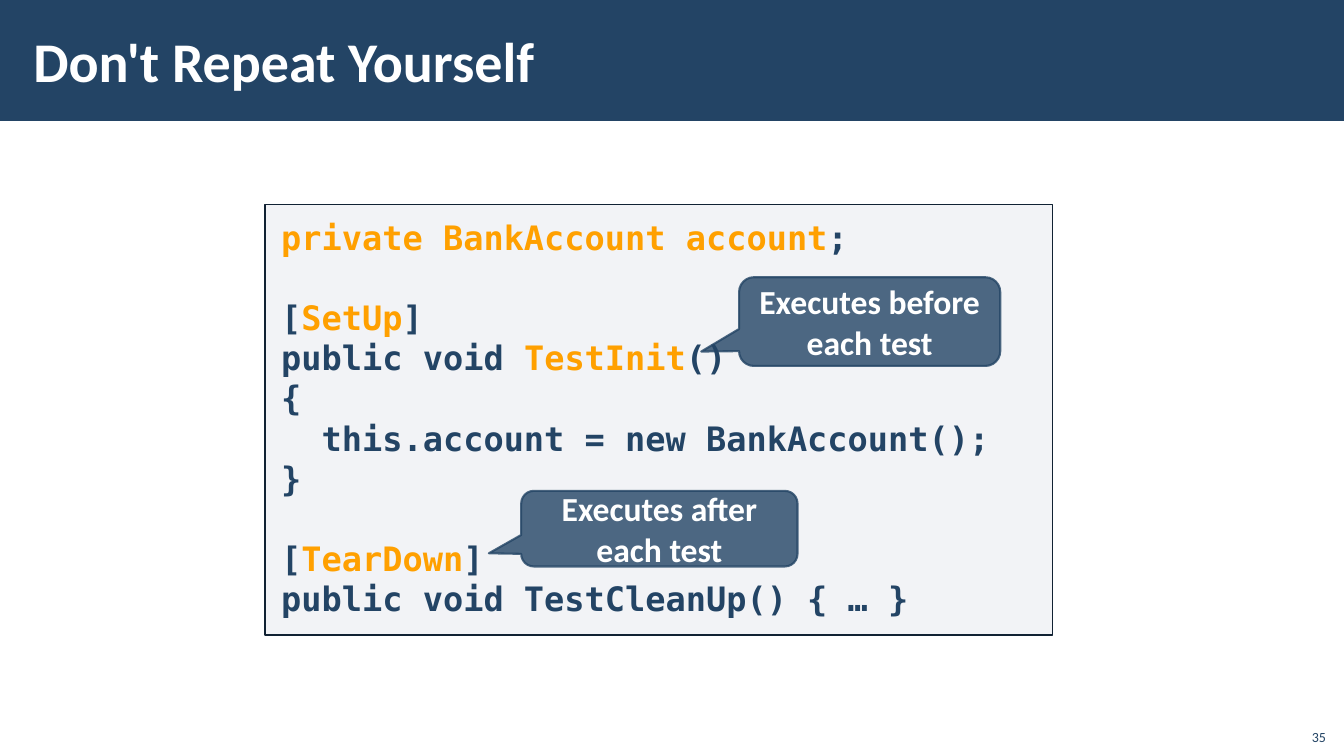
"""Build the slide on shared set-up and tear-down code in unit tests."""
from dataclasses import dataclass

import lxml.etree
import pptx
import pptx.dml.color
import pptx.enum.shapes
import pptx.enum.text
import pptx.oxml.ns
import pptx.util

NAVY, ORANGE, WHITE = "234465", "FFA000", "FFFFFF"
SANS, MONO = "Calibri", "DejaVu Sans Mono"
CODE_PITCH = 28.7
SHAPE = pptx.enum.shapes.MSO_SHAPE
ALIGN = pptx.enum.text.PP_ALIGN
ANCHOR = pptx.enum.text.MSO_ANCHOR


@dataclass(frozen=True)
class Box:
    """A place on the slide in percent of its width and height."""
    x: float
    y: float
    w: float
    h: float


@dataclass(frozen=True)
class Callout:
    """A speech bubble and the offset of its tip."""
    text: str
    box: Box
    tip: tuple[float, float]


@dataclass(frozen=True)
class CodeLine:
    """A line of code whose odd segments, split at bars, are highlighted."""
    text: str
    gap: bool = False


CODE = [
    CodeLine("|private BankAccount account|;"),
    CodeLine("[|SetUp|]", gap=True),
    CodeLine("public void |TestInit|()"),
    CodeLine("{"),
    CodeLine("  this.account = new BankAccount();"),
    CodeLine("}"),
    CodeLine("[|TearDown|]", gap=True),
    CodeLine("public void TestCleanUp() { … }"),
]
CALLOUTS = [
    Callout("Executes before each test", Box(54.99, 36.67, 19.43, 11.73), (-0.645, 0.338)),
    Callout("Executes after each test", Box(38.78, 64.93, 20.56, 10), (-0.617, 0.326)),
]

prs = pptx.Presentation()
prs.slide_width = pptx.util.Inches(13.33)
prs.slide_height = pptx.util.Inches(7.5)


def rgb(value: str) -> pptx.dml.color.RGBColor:
    """Turn a hex string into a colour."""
    return pptx.dml.color.RGBColor.from_string(value)


def place(box: Box) -> tuple[int, int, int, int]:
    """Turn percentages into left, top, width and height."""
    w, h = prs.slide_width / 100, prs.slide_height / 100
    return round(box.x * w), round(box.y * h), round(box.w * w), round(box.h * h)


def set_alpha(fill_parent, percent: int) -> None:
    """Make the solid fill directly under an element partly transparent."""
    color = fill_parent.find("a:solidFill/a:srgbClr", pptx.oxml.ns.nsmap_a
                             if hasattr(pptx.oxml.ns, "nsmap_a")
                             else {"a": pptx.oxml.ns.nsuri("a")})
    lxml.etree.SubElement(color, pptx.oxml.ns.qn("a:alpha")).set("val", str(percent * 1000))


def add_box(s, kind, box: Box, fill: str, alpha: int = 100, line: str = "",
            width: float = 1, line_alpha: int = 100):
    """Add a preset shape without a shadow."""
    sp = s.shapes.add_shape(kind, *place(box))
    sp.shadow.inherit = False
    sp.fill.solid()
    sp.fill.fore_color.rgb = rgb(fill)
    if alpha < 100:
        set_alpha(sp.element.spPr, alpha)
    if not line:
        sp.line.fill.background()
        return sp
    sp.line.color.rgb = rgb(line)
    sp.line.width = pptx.util.Pt(width)
    if line_alpha < 100:
        set_alpha(sp.element.spPr.find(pptx.oxml.ns.qn("a:ln")), line_alpha)
    return sp


def set_frame(sp, anchor, x: float = 0.1, y: float = 0.05):
    """Set the wrapping, anchor and insets of a shape's text."""
    tf = sp.text_frame
    tf.word_wrap = True
    tf.auto_size = pptx.enum.text.MSO_AUTO_SIZE.NONE
    tf.vertical_anchor = anchor
    tf.margin_left = tf.margin_right = pptx.util.Inches(x)
    tf.margin_top = tf.margin_bottom = pptx.util.Inches(y)
    return tf


def add_text(p, text: str, *, size: float = 24, font: str = SANS, color: str = WHITE,
             bold: bool = True, align=ALIGN.LEFT) -> None:
    """Add a formatted run to a paragraph."""
    p.alignment = align
    r = p.add_run()
    r.text = text
    r.font.size = pptx.util.Pt(size)
    r.font.name = font
    r.font.bold = bold
    r.font.color.rgb = rgb(color)


def add_title(s) -> None:
    """Fill the title placeholder and put the band behind it."""
    sp = s.shapes.title
    sp.left, sp.top, sp.width, sp.height = place(Box(1.58, 1.47, 79.74, 12.93))
    band = add_box(s, SHAPE.RECTANGLE, Box(0, 0, 100, 16), NAVY)
    sp.element.addprevious(band.element)
    tf = set_frame(sp, ANCHOR.MIDDLE, 0.12, 0.04)
    add_text(tf.paragraphs[0], "Don't Repeat Yourself", size=40)


def add_code(s, lines: list[CodeLine]) -> None:
    """Add the code panel."""
    sp = add_box(s, SHAPE.RECTANGLE, Box(19.73, 27.07, 58.59, 56.93), "ADB4C3",
                 alpha=15, line="112233")
    tf = set_frame(sp, ANCHOR.TOP, 0.16, 0.12)
    for i, line in enumerate(lines):
        p = tf.add_paragraph() if i else tf.paragraphs[0]
        p.line_spacing = pptx.util.Pt(CODE_PITCH)
        if line.gap:
            p.space_before = pptx.util.Pt(CODE_PITCH)
        for j, part in enumerate(line.text.split("|")):
            if part:
                add_text(p, part, font=MONO, color=ORANGE if j % 2 else NAVY)


def add_callout(s, callout: Callout) -> None:
    """Add a speech bubble."""
    sp = add_box(s, SHAPE.ROUNDED_RECTANGULAR_CALLOUT, callout.box, NAVY, alpha=80,
                 line=NAVY, width=1.5, line_alpha=80)
    sp.adjustments[0], sp.adjustments[1] = callout.tip
    tf = set_frame(sp, ANCHOR.MIDDLE)
    add_text(tf.paragraphs[0], callout.text, align=ALIGN.CENTER)


def add_number(s, text: str) -> None:
    """Add the slide number."""
    sp = s.shapes.add_textbox(*place(Box(96.4, 94.93, 3, 4.27)))
    tf = set_frame(sp, ANCHOR.BOTTOM)
    add_text(tf.paragraphs[0], text, size=10, color=NAVY, bold=False, align=ALIGN.RIGHT)


def main() -> None:
    """Build and save the slide."""
    s = prs.slides.add_slide(prs.slide_layouts[5])
    add_title(s)
    add_code(s, CODE)
    for callout in CALLOUTS:
        add_callout(s, callout)
    add_number(s, "35")
    prs.save("out.pptx")


if __name__ == "__main__":
    main()
